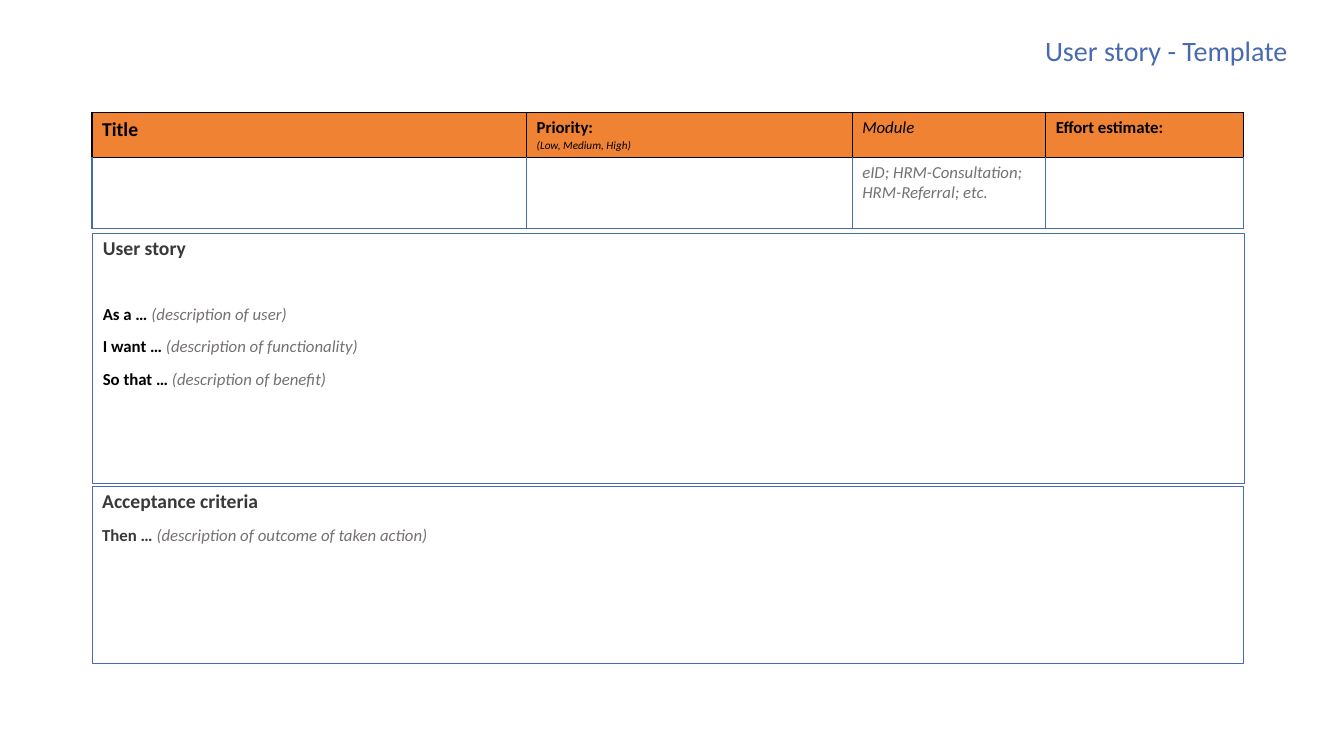
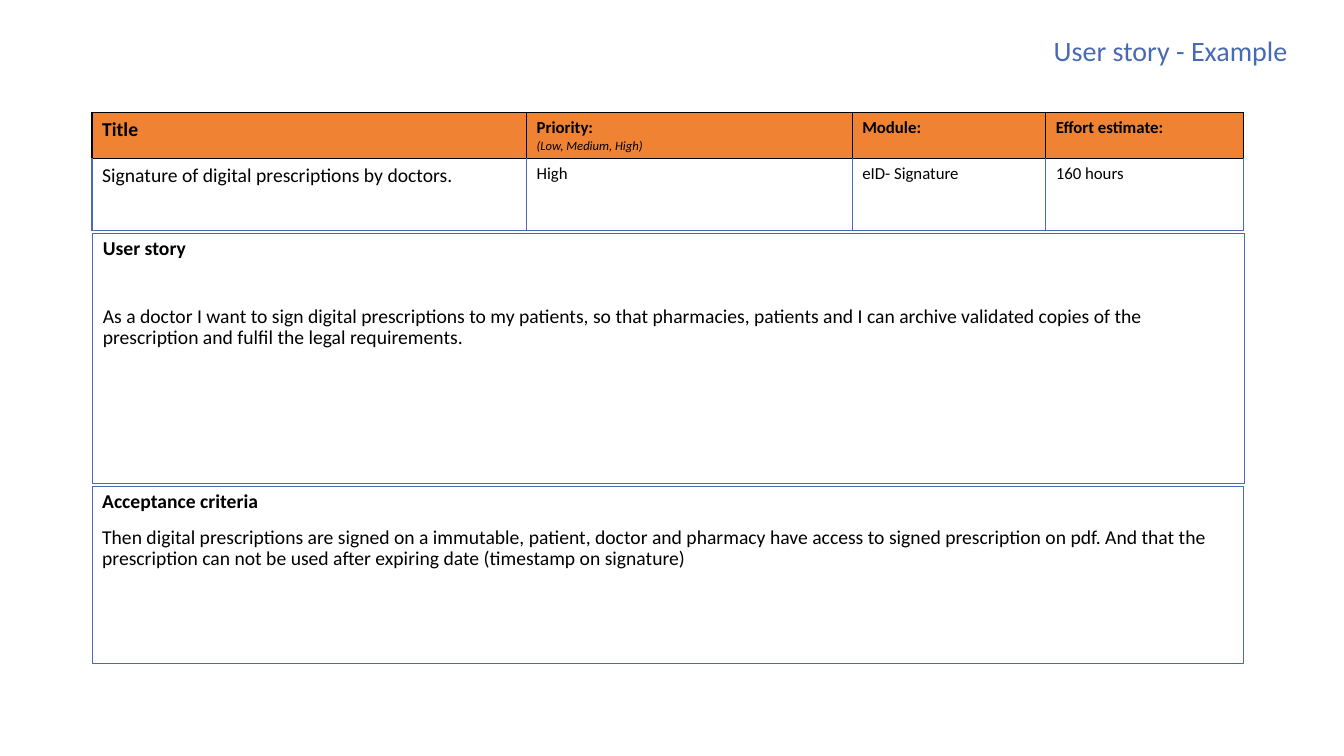
"""Build a user story template slide and a filled-in example slide."""
import lxml.etree
import pptx
import pptx.dml.color
import pptx.enum.text
import pptx.oxml.ns
import pptx.util

COLORS = {"blue": "476AB3", "orange": "EF8233", "black": "000000", "dark": "3B3838", "gray": "767171"}
FONT = "Calibri"
LEFT, SPAN = 6.85, 85.67
COLUMN_SHARES = [32.33, 24.23, 14.4, 14.7]
ROW_SHARES = [4.67, 9.47]
TITLE_AREA = (67.44, 4.13, 29.11, 5.73)
STORY_AREA = (6.9, 30.93, SPAN, 33.07)
CRITERIA_AREA = (LEFT, 64.4, SPAN, 23.33)

deck = pptx.Presentation()
deck.slide_width = pptx.util.Inches(13.33)
deck.slide_height = pptx.util.Inches(7.5)
column = deck.slide_width / 100
row = deck.slide_height / 100


def write(frame, text, size=12, color="black", bold=False, italic=False, joined=False, **paragraph_format):
    """Add text as a new paragraph, or to the last one when joined."""
    paragraph = frame.paragraphs[-1]
    if paragraph.runs and not joined:
        paragraph = frame.add_paragraph()
    for key, value in paragraph_format.items():
        setattr(paragraph, key, value)
    run = paragraph.add_run()
    run.text = text
    run.font.name = FONT
    run.font.size = pptx.util.Pt(size)
    run.font.bold = bold
    run.font.italic = italic
    run.font.color.rgb = pptx.dml.color.RGBColor.from_string(COLORS[color])
    return paragraph


def place(holder, area):
    """Move a placeholder to an area given in percent of the slide."""
    left, top, width, height = area
    holder.left, holder.top = int(left * column), int(top * row)
    holder.width, holder.height = int(width * column), int(height * row)
    holder.text_frame.word_wrap = True
    holder.text_frame.auto_size = pptx.enum.text.MSO_AUTO_SIZE.NONE
    return holder.text_frame


hint = {"color": "gray", "italic": True}
label = {"bold": True}
stories = [
    {
        "name": "User story - Template",
        "heading": "dark",
        "scale": 8,
        "module": ("Module", {"italic": True}),
        "values": [None, None, ("eID; HRM-Consultation; HRM-Referral; etc.", hint), None],
        "story": [
            [("As a … ", label), ("(description of user)", hint)],
            [("I want … ", label), ("(description of functionality)", hint)],
            [("So that … ", label), ("(description of benefit)", hint)],
        ],
        "criteria": [[("Then … ", {"bold": True, "color": "dark"}),
                      ("(description of outcome of taken action)", hint)]],
    },
    {
        "name": "User story - Example",
        "heading": "black",
        "scale": 9,
        "module": ("Module:", label),
        "values": [("Signature of digital prescriptions by doctors.", {"size": 14}),
                   ("High", {}), ("eID- Signature", {}), ("160 hours", {})],
        "story": [[("As a doctor I want to sign digital prescriptions to my patients, so that pharmacies, "
                    "patients and I can archive validated copies of the prescription and fulfil the "
                    "legal requirements.", {"size": 14})]],
        "criteria": [[("Then digital prescriptions are signed on a immutable, patient, doctor and pharmacy "
                       "have access to signed prescription on pdf. And that the prescription can not be "
                       "used after expiring date (timestamp on signature)", {"size": 14})]],
    },
]

for story in stories:
    slide = deck.slides.add_slide(deck.slide_layouts[3])
    title, story_box, criteria_box = slide.placeholders

    title_frame = place(title, TITLE_AREA)
    title_frame.vertical_anchor = pptx.enum.text.MSO_ANCHOR.MIDDLE
    write(title_frame, story["name"], size=20, color="blue",
          alignment=pptx.enum.text.PP_ALIGN.RIGHT, line_spacing=0.9)

    sections = [
        (story_box, STORY_AREA, "User story", story["story"], 33),
        (criteria_box, CRITERIA_AREA, "Acceptance criteria", story["criteria"], 10),
    ]
    for box, area, heading, lines, first_gap in sections:
        frame = place(box, area)
        box.line.color.rgb = pptx.dml.color.RGBColor.from_string(COLORS["blue"])
        box.line.width = pptx.util.Pt(0.75)
        write(frame, heading, size=14, color=story["heading"], bold=True)
        for parts in lines:
            for position, (text, style) in enumerate(parts):
                write(frame, text, joined=position > 0, **style)
        for position, paragraph in enumerate(frame.paragraphs):
            paragraph.line_spacing = 0.9
            paragraph.space_before = pptx.util.Pt(first_gap if position == 1 else 10)
            properties = paragraph._p.get_or_add_pPr()
            properties.set("marL", "0")
            properties.set("indent", "0")
            lxml.etree.SubElement(properties, pptx.oxml.ns.qn("a:buNone"))

    summary = slide.shapes.add_table(
        2, 4, int(LEFT * column), int(14.93 * row), int(SPAN * column), int(sum(ROW_SHARES) * row)).table
    summary.first_row = False
    summary.horz_banding = False
    for summary_column, share in zip(summary.columns, COLUMN_SHARES):
        summary_column.width = int(share * column)
    for summary_row, share in zip(summary.rows, ROW_SHARES):
        summary_row.height = int(share * row)

    headers = [
        [("Title", {"size": 14, "bold": True})],
        [("Priority:", label), ("(Low, Medium, High)", {"size": story["scale"], "italic": True})],
        [story["module"]],
        [("Effort estimate:", label)],
    ]
    values = [[value] if value else [] for value in story["values"]]
    for row_number, contents in enumerate([headers, values]):
        for column_number, lines in enumerate(contents):
            cell = summary.cell(row_number, column_number)
            for text, style in lines:
                write(cell.text_frame, text, **style)
            if row_number == 0:
                cell.fill.solid()
                cell.fill.fore_color.rgb = pptx.dml.color.RGBColor.from_string(COLORS["orange"])
            else:
                cell.fill.background()
            properties = cell._tc.get_or_add_tcPr()
            for order, side in enumerate(["L", "R", "T", "B"]):
                edge = lxml.etree.Element(pptx.oxml.ns.qn("a:ln" + side), w=str(pptx.util.Pt(1)))
                paint = lxml.etree.SubElement(edge, pptx.oxml.ns.qn("a:solidFill"))
                shade = "black" if row_number == 0 or side == "T" else "blue"
                lxml.etree.SubElement(paint, pptx.oxml.ns.qn("a:srgbClr"), val=COLORS[shade])
                properties.insert(order, edge)

deck.save("out.pptx")
